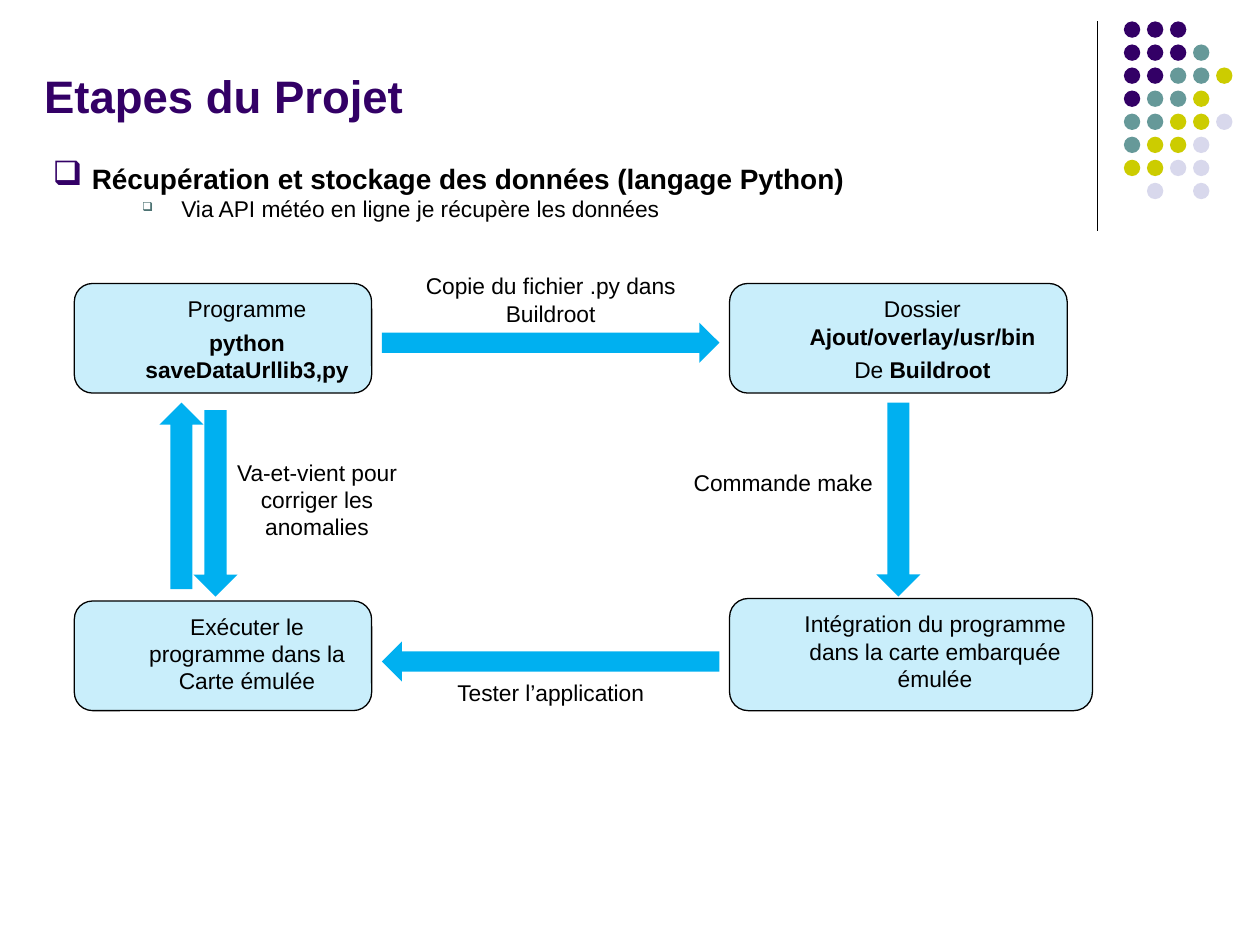
from lxml.etree import SubElement
from pptx import Presentation
from pptx.dml.color import RGBColor
from pptx.enum.shapes import MSO_CONNECTOR, MSO_SHAPE
from pptx.enum.text import MSO_ANCHOR, PP_ALIGN
from pptx.oxml.ns import qn
from pptx.util import Inches, Pt

BLACK = RGBColor(0, 0, 0)
PLUM = RGBColor(0x33, 0x00, 0x66)
TEAL = RGBColor(0x66, 0x99, 0x99)
LIME = RGBColor(0xCC, 0xCC, 0x00)
MIST = RGBColor(0xD8, 0xD8, 0xEC)
PINE = RGBColor(0x4D, 0x73, 0x73)
SKY = RGBColor(0x00, 0xB0, 0xF0)

# The slide is a grid of 100 columns by 75 rows
CELL = Inches(0.1)
DOTS = ["PPP", "PPPT", "PPTTY", "PTTY", "TTYYL", "TYYL", "YYLL", " L L"]
HUES = {"P": PLUM, "T": TEAL, "Y": LIME, "L": MIST}


def grid(*nums):
    return [round(n * CELL) for n in nums]


def within(box, x, y, w, h):
    """Shift a part's place from its region to the slide."""
    return box[0] + x, box[1] + y, w, h


def write(par, text, size=13, color=BLACK, bold=False, align=PP_ALIGN.CENTER,
          before=0, after=0):
    """Fill a paragraph; text between asterisks is bold."""
    par.alignment = align
    par.space_before, par.space_after = Pt(before), Pt(after)
    for num, part in enumerate(text.split("*")):
        if part:
            font = par.add_run()
            font.text = part
            font = font.font
            font.name, font.size = "Arial", Pt(size)
            font.bold = bold or num % 2 == 1
            font.color.rgb = color


def mark(par, left, hang, color, share):
    """Give a paragraph a hanging box bullet."""
    props = par._p.get_or_add_pPr()
    props.set("marL", str(Inches(left)))
    props.set("indent", str(-Inches(hang)))
    tint = SubElement(props, qn("a:buClr"))
    SubElement(tint, qn("a:srgbClr"), val=str(color))
    SubElement(props, qn("a:buSzPct"), val=str(share * 1000))
    SubElement(props, qn("a:buChar"), char="❑")


def shape(slide, kind, box, color):
    part = slide.shapes.add_shape(kind, *grid(*box))
    part.shadow.inherit = False
    part.fill.solid()
    part.fill.fore_color.rgb = color
    part.line.fill.background()
    return part


def label(slide, box, text):
    frame = slide.shapes.add_textbox(*grid(*box)).text_frame
    frame.word_wrap = True
    write(frame.paragraphs[0], text)


def arrow(slide, box, turn):
    shape(slide, MSO_SHAPE.RIGHT_ARROW, box, SKY).rotation = turn


def step(slide, box, *lines):
    """One rounded box of the flow, with its paragraphs."""
    part = shape(slide, MSO_SHAPE.ROUNDED_RECTANGLE, box, SKY)
    tint = part.fill._xPr.find(qn("a:solidFill"))[0]
    SubElement(tint, qn("a:alpha"), val="21000")
    part.line.color.rgb = BLACK
    part.line.width = Pt(0.75)
    frame = part.text_frame
    frame.word_wrap = True
    frame.vertical_anchor = MSO_ANCHOR.TOP
    for num, text in enumerate(lines):
        par = frame.add_paragraph() if num else frame.paragraphs[0]
        par._p.get_or_add_pPr().set("marL", str(Inches(0.38)))
        write(par, text, before=3.4 if num else 0)


def decor(slide, box):
    """Vertical rule and the field of dots beside it."""
    x, y, w, h = box
    rule = slide.shapes.add_connector(
        MSO_CONNECTOR.STRAIGHT, *grid(x, y, x, y + h))
    rule.line.color.rgb = BLACK
    rule.line.width = Pt(0.75)
    SubElement(rule._element.spPr, qn("a:effectLst"))
    pitch = 1.83
    for row, keys in enumerate(DOTS):
        for col, key in enumerate(keys):
            if key in HUES:
                spot = within(box, 2.1 + col * pitch, row * pitch, 1.3, 1.3)
                shape(slide, MSO_SHAPE.OVAL, spot, HUES[key])


def title(slide, box):
    head = slide.shapes.title
    head.left, head.top, head.width, head.height = grid(*box)
    head.text_frame.vertical_anchor = MSO_ANCHOR.BOTTOM
    write(head.text_frame.paragraphs[0], "Etapes du Projet", size=26,
          color=PLUM, bold=True, align=PP_ALIGN.LEFT)


def points(slide, box):
    frame = slide.shapes.add_textbox(*grid(*box)).text_frame
    frame.word_wrap = True
    top, sub = frame.paragraphs[0], frame.add_paragraph()
    mark(top, 0.36, 0.31, PLUM, 120)
    write(top, "Récupération et stockage des données (langage Python)",
          size=16, bold=True, align=PP_ALIGN.LEFT)
    sub.level = 1
    mark(sub, 1.07, 0.31, PINE, 55)
    write(sub, "Via API météo en ligne je récupère les données",
          align=PP_ALIGN.LEFT, after=4.1)


def flow(slide, box):
    """Four steps in a loop, joined by arrows with labels."""
    def at(*nums):
        return within(box, *nums)

    right, low = 52, 25.2
    wide, tall = 23.6, 8.7
    # Steps
    step(slide, at(0, 0, wide, tall),
         "Programme", "*python saveDataUrllib3,py*")
    step(slide, at(right, 0, 26.8, tall),
         "Dossier *Ajout/overlay/usr/bin*", "De *Buildroot*")
    step(slide, at(right, low - 0.2, 28.8, 8.9),
         "Intégration du programme dans la carte embarquée émulée")
    step(slide, at(0, low, wide, tall),
         "Exécuter le programme dans la Carte émulée")
    # Arrows
    arrow(slide, at(24.4, 3.1, 26.8, 3.2), 0)
    arrow(slide, at(57.7, 15.4, 15.4, 3.5), 90)
    arrow(slide, at(24.4, 28.4, 26.8, 3.2), 180)
    arrow(slide, at(1.1, 15.1, 14.8, 3.5), 270)
    arrow(slide, at(3.8, 15.7, 14.8, 3.5), 90)
    # Labels
    label(slide, at(26.8, -1.4, 22, 5.4), "Copie du fichier .py dans Buildroot")
    label(slide, at(48, 14.2, 16.5, 3.2), "Commande make")
    label(slide, at(26.8, 30.9, 22, 3.2), "Tester l’application")
    label(slide, at(11, 13.4, 16.5, 7.5),
          "Va-et-vient pour corriger les anomalies")


def main():
    deck = Presentation()
    deck.slide_width, deck.slide_height = grid(100, 75)
    slide = deck.slides.add_slide(deck.slide_layouts[5])
    decor(slide, (87.1, 1.7, 11, 16.6))
    title(slide, (2.5, 3.6, 84.2, 6.6))
    points(slide, (2.7, 12.3, 83.9, 7.9))
    flow(slide, (5.9, 22.5, 80.8, 33.9))
    deck.save("out.pptx")


if __name__ == "__main__":
    main()
